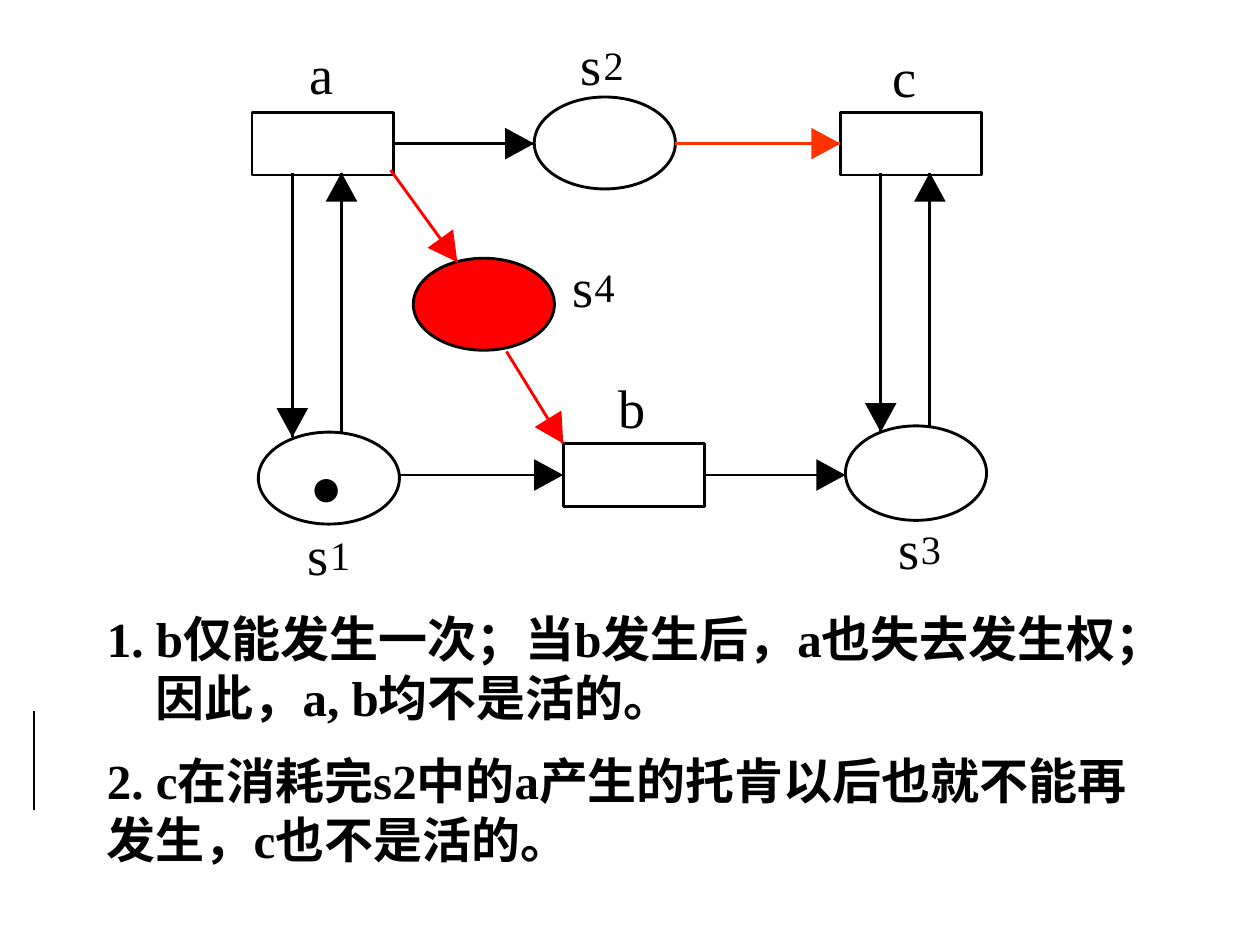
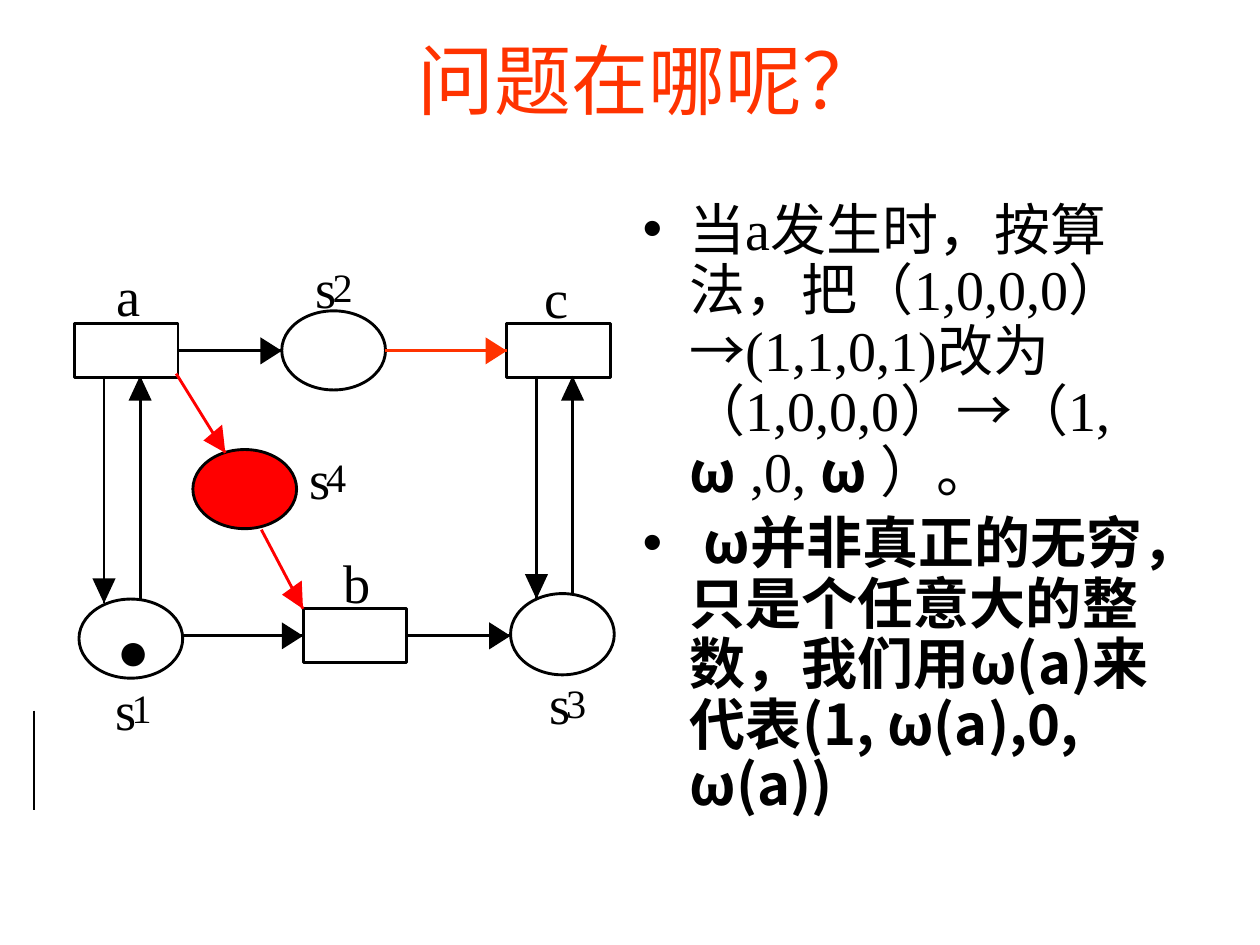
from dataclasses import dataclass
from math import hypot

from lxml.etree import SubElement
from pptx import Presentation
from pptx.dml.color import RGBColor
from pptx.enum.shapes import MSO_CONNECTOR, MSO_SHAPE
from pptx.enum.text import MSO_ANCHOR, MSO_AUTO_SIZE, PP_ALIGN
from pptx.oxml.ns import qn
from pptx.util import Inches, Pt

COLORS = {"ink": "000000", "paper": "FFFFFF", "red": "FF0000", "accent": "FF3300"}
SERIF, SANS, DOT_FONT = "Times New Roman", "Noto Sans CJK SC", "Arial"
TOP, LEFT, BOTTOM, RIGHT = range(4)
HEAD_LENGTH, HEAD_HALF = 0.23, 0.125

NODE_WIDTH = 1.12
NODES = {
    "a": (MSO_SHAPE.RECTANGLE, 2, 0.89, 0.5, "paper"),
    "c": (MSO_SHAPE.RECTANGLE, 6.67, 0.89, 0.5, "paper"),
    "b": (MSO_SHAPE.RECTANGLE, 4.47, 3.52, 0.5, "paper"),
    "s1": (MSO_SHAPE.OVAL, 2.05, 3.43, 0.73, "paper"),
    "s2": (MSO_SHAPE.OVAL, 4.24, 0.77, 0.73, "paper"),
    "s3": (MSO_SHAPE.OVAL, 6.71, 3.38, 0.75, "paper"),
    "s4": (MSO_SHAPE.OVAL, 3.28, 2.05, 0.73, "red"),
}
ARCS = [
    ((3.12, 1.14), (4.24, 1.14), "ink", ("a", RIGHT), None),
    ((5.36, 1.14), (6.67, 1.14), "accent", None, ("c", LEFT)),
    ((6.99, 1.37), (6.99, 3.43), "ink", None, None),
    ((7.38, 3.38), (7.38, 1.37), "ink", None, None),
    ((3.17, 3.77), (4.47, 3.77), "ink", None, ("b", LEFT)),
    ((5.59, 3.77), (6.71, 3.77), "ink", ("b", RIGHT), None),
    ((2.32, 1.37), (2.32, 3.47), "ink", None, None),
    ((2.71, 3.43), (2.71, 1.37), "ink", None, None),
    ((3.1, 1.35), (3.63, 2.08), "red", None, None),
    ((4.02, 2.79), (4.47, 3.52), "red", None, None),
]
TRANSITION_LABELS = {"a": (2.46, 0.32), "b": (4.91, 2.97), "c": (7.08, 0.34)}
PLACE_LABELS = {
    "1": (2.44, 4.14),
    "2": (4.61, 0.25),
    "3": (7.13, 4.09),
    "4": (4.54, 2.01),
}
TOKEN_AT = (2.46, 3.59)


@dataclass
class NetFrame:
    left: float = 2
    top: float = 0.89
    across: float = 1
    down: float = 1

    def point(self, x, y):
        return (
            self.left + (x - 2) * self.across,
            self.top + (y - 0.89) * self.down,
        )


class Lecture:
    def __init__(self):
        self.deck = Presentation()
        self.deck.slide_width = Inches(10)
        self.deck.slide_height = Inches(7.5)
        self.page = None

    def color(self, name):
        return RGBColor.from_string(COLORS[name])

    def add_page(self, layout):
        self.page = self.deck.slides.add_slide(self.deck.slide_layouts[layout])
        self.line((0.27, 5.64), (0.27, 6.43), "ink", 1)

    def style(self, span, size, font=SERIF, color="ink", bold=False):
        span.font.size = Pt(size)
        span.font.bold = bold
        span.font.color.rgb = self.color(color)
        span.font.name = font
        SubElement(span.font._element, qn("a:ea")).set("typeface", SANS)

    def place(self, box, left, top, width, height):
        box.left, box.top = Inches(left), Inches(top)
        box.width, box.height = Inches(width), Inches(height)

    def line(self, start, end, color, weight=1.63):
        ends = [Inches(value) for value in (*start, *end)]
        line = self.page.shapes.add_connector(MSO_CONNECTOR.STRAIGHT, *ends)
        line.line.color.rgb = self.color(color)
        line.line.width = Pt(weight)
        SubElement(line._element.spPr, qn("a:effectLst"))
        return line

    def arrow_head(self, corners, color):
        points = [(Inches(x), Inches(y)) for x, y in corners]
        builder = self.page.shapes.build_freeform(*points[0], scale=1.0)
        builder.add_line_segments(points[1:], close=True)
        head = builder.convert_to_shape()
        head.shadow.inherit = False
        head.fill.solid()
        head.fill.fore_color.rgb = self.color(color)
        head.line.fill.background()

    def arc(self, frame, start, tip, color):
        line = self.line(frame.point(*start), frame.point(*tip), color)
        dx, dy = tip[0] - start[0], tip[1] - start[1]
        length = hypot(dx, dy)
        ux, uy = dx / length, dy / length
        base_x, base_y = tip[0] - ux * HEAD_LENGTH, tip[1] - uy * HEAD_LENGTH
        corners = [tip] + [
            (base_x - side * uy * HEAD_HALF, base_y + side * ux * HEAD_HALF)
            for side in (1, -1)
        ]
        self.arrow_head([frame.point(*corner) for corner in corners], color)
        return line

    def node(self, frame, kind, x, y, height, fill):
        left, top = frame.point(x, y)
        node = self.page.shapes.add_shape(
            kind,
            Inches(left),
            Inches(top),
            Inches(NODE_WIDTH * frame.across),
            Inches(height * frame.down),
        )
        node.shadow.inherit = False
        node.fill.solid()
        node.fill.fore_color.rgb = self.color(fill)
        node.line.color.rgb = self.color("ink")
        node.line.width = Pt(1.63)
        return node

    def label(self, frame, text, x, y, size=31, font=SERIF):
        left, top = frame.point(x, y)
        box = self.page.shapes.add_textbox(
            Inches(left), Inches(top), Inches(0.2), Inches(size / 60)
        )
        frame_text = box.text_frame
        frame_text.margin_left = frame_text.margin_right = 0
        frame_text.margin_top = frame_text.margin_bottom = 0
        frame_text.word_wrap = False
        frame_text.auto_size = MSO_AUTO_SIZE.SHAPE_TO_FIT_TEXT
        frame_text.text = text
        self.style(frame_text.paragraphs[0].runs[0], size, font)

    def petri_net(self, frame):
        nodes = {name: self.node(frame, *node) for name, node in NODES.items()}
        for start, tip, color, source, target in ARCS:
            line = self.arc(frame, start, tip, color)
            if source:
                line.begin_connect(nodes[source[0]], source[1])
            if target:
                line.end_connect(nodes[target[0]], target[1])
        for name, (x, y) in TRANSITION_LABELS.items():
            self.label(frame, name, x, y)
        for number, (x, y) in PLACE_LABELS.items():
            self.label(frame, "s", x, y)
            self.label(frame, number, x + 0.18, y + 0.07, 23)
        self.label(frame, "●", *TOKEN_AT, font=DOT_FONT)

    def title(self, text):
        box = self.page.shapes.title
        self.place(box, 0.9, 0, 8.5, 1.25)
        box.text_frame.text = text
        box.text_frame.vertical_anchor = MSO_ANCHOR.MIDDLE
        para = box.text_frame.paragraphs[0]
        para.alignment = PP_ALIGN.CENTER
        self.style(para.runs[0], 44, color="accent")

    def remarks(self, texts):
        box = self.page.shapes.add_textbox(
            Inches(0.75), Inches(4.78), Inches(8.58), Inches(2.2)
        )
        box.text_frame.word_wrap = True
        box.text_frame.text = "\n".join(texts)
        for para in box.text_frame.paragraphs:
            para.space_after = Pt(14)
            self.style(para.runs[0], 28, bold=True)

    def bullets(self, items):
        box = self.page.placeholders[1]
        self.place(box, 5, 1.55, 4.25, 5.51)
        box.text_frame.auto_size = MSO_AUTO_SIZE.NONE
        for index, pieces in enumerate(items):
            if index:
                para = box.text_frame.add_paragraph()
            else:
                para = box.text_frame.paragraphs[0]
            para.line_spacing = 0.9
            para.space_before = Pt(0)
            para.space_after = Pt(6.4)
            for text, strong in pieces:
                span = para.add_run()
                span.text = text
                self.style(span, 32, SANS if strong else SERIF, bold=strong)


def main():
    lecture = Lecture()

    lecture.add_page(6)
    lecture.remarks([
        "1. b仅能发生一次；当b发生后，a也失去发生权；　因此，a, b均不是活的。",
        "2. c在消耗完s2中的a产生的托肯以后也就不能再发生，c也不是活的。",
    ])
    lecture.petri_net(NetFrame())

    lecture.add_page(1)
    lecture.title("问题在哪呢？")
    lecture.bullets([
        [
            ("当a发生时，按算法，把（1,0,0,0）→(1,1,0,1)改为（1,0,0,0）→（1, ", False),
            ("ω", True),
            (" ,0, ", False),
            ("ω ", True),
            ("）。", False),
        ],
        [
            (" ", False),
            ("ω并非真正的无穷，只是个任意大的整数，我们用ω(a)来代表(1, ω(a),0, ω(a))", True),
        ],
    ])
    lecture.petri_net(NetFrame(0.59, 2.57, 0.735, 0.86))

    lecture.deck.save("out.pptx")


if __name__ == "__main__":
    main()
